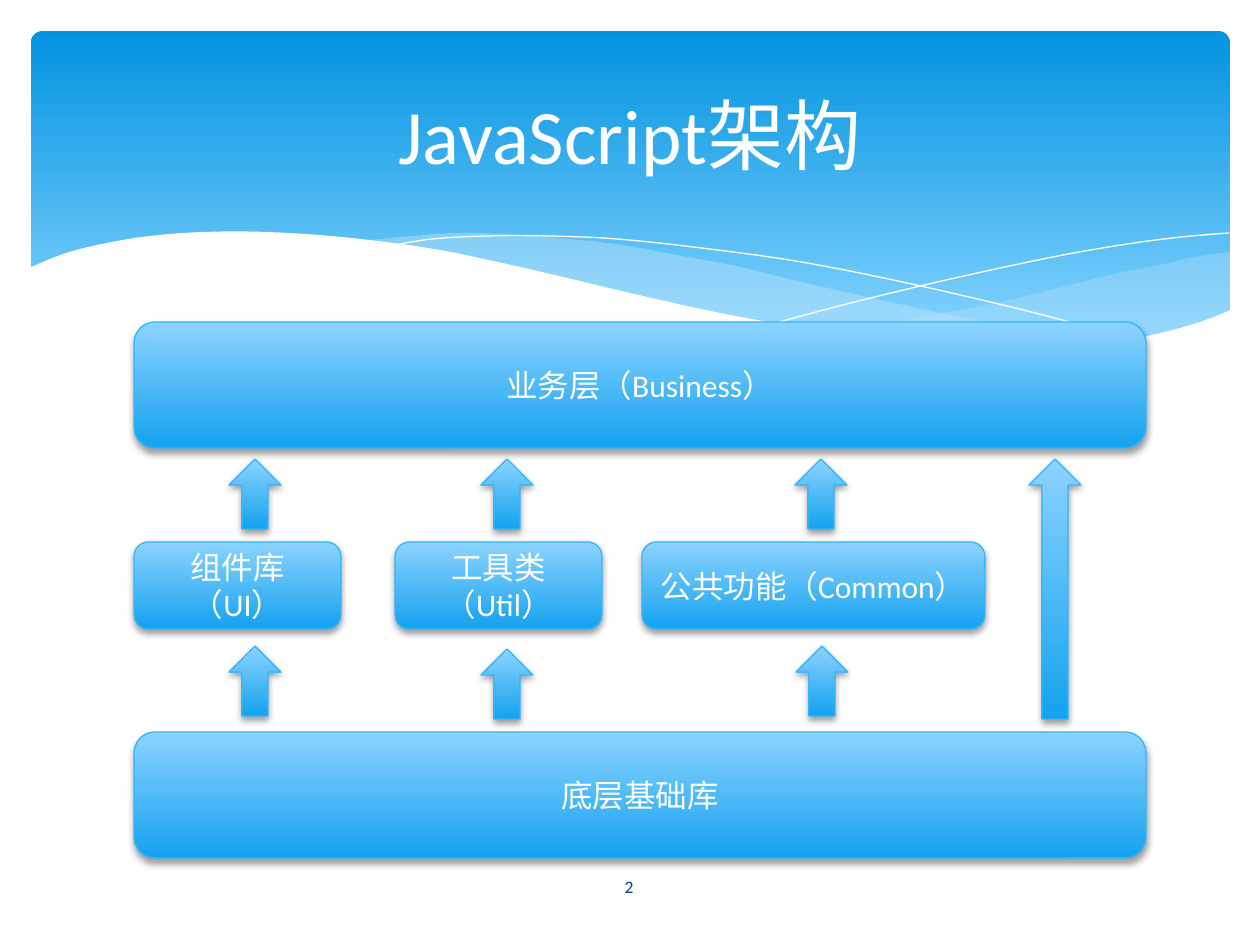
"""Build the JavaScript architecture slide: layered blocks joined by arrows under a wave banner."""
from lxml import etree
from pptx import Presentation
from pptx.dml.color import RGBColor
from pptx.enum.shapes import MSO_SHAPE
from pptx.enum.text import MSO_ANCHOR, PP_ALIGN
from pptx.oxml import parse_xml
from pptx.oxml.ns import nsdecls, qn
from pptx.util import Pt

ROUNDED, UP_ARROW = MSO_SHAPE.ROUNDED_RECTANGLE, MSO_SHAPE.UP_ARROW
CENTER, MIDDLE = PP_ALIGN.CENTER, MSO_ANCHOR.MIDDLE
EMU_PER_PX = 914400 / 126
COLORS = {
    "white": "FFFFFF", "wave": "C6E7FC", "banner_top": "0293E0", "banner_end": "83D3FE",
    "block_top": "8CD3FF", "block_end": "14A2EF", "outline": "31B6FD", "number": "073E87",
}
RGB = {name: RGBColor.from_string(value) for name, value in COLORS.items()}
SHADOW = (f'<a:effectLst {nsdecls("a")}><a:outerShdw blurRad="50800" dist="25400" dir="5400000" '
          'rotWithShape="0"><a:srgbClr val="000000"><a:alpha val="38000"/></a:srgbClr>'
          '</a:outerShdw></a:effectLst>')


def px(*lengths):
    """Turn pixel lengths into EMU."""
    return [round(length * EMU_PER_PX) for length in lengths]


def smooth(knots, steps=5):
    """Sample a Catmull-Rom curve through the knots."""
    padded = [knots[0], *knots, knots[-1]]
    curve = []
    for a, b, c, d in zip(padded, padded[1:], padded[2:], padded[3:]):
        for t in (step / steps for step in range(steps)):
            curve.append(tuple(
                b[i] + 0.5 * t * (c[i] - a[i] + t * (2 * a[i] - 5 * b[i] + 4 * c[i] - d[i]
                                  + t * (3 * (b[i] - c[i]) + d[i] - a[i])))
                for i in (0, 1)))
    return curve + [knots[-1]]


prs = Presentation()
prs.slide_width, prs.slide_height = px(1260, 945)
slide = prs.slides.add_slide(prs.slide_layouts[5])
shapes = slide.shapes

banner = shapes.add_shape(ROUNDED, *px(31, 31, 1199, 340))
banner.adjustments[0] = 0.034
banner.shadow.inherit = False
banner.line.fill.background()
banner.fill.gradient()
banner.fill.gradient_angle = 270
for stop, color, position in zip(banner.fill.gradient_stops, ("banner_top", "banner_end"), (0, 0.9)):
    stop.color.rgb, stop.position = RGB[color], position

right_wave = smooth([(1230, 252), (1194, 257), (1160, 265), (1123, 272), (1085, 281), (1014, 299),
                     (949, 312), (833, 334)]) + smooth([
                     (833, 334), (906, 343), (969, 349), (1026, 350), (1076, 348), (1120, 343),
                     (1160, 334), (1196, 324), (1230, 311)])
middle_wave = smooth([(1125, 344), (1055, 334), (976, 320), (890, 302), (793, 280), (736, 266),
                      (682, 256), (616, 244), (557, 238), (503, 234), (455, 233), (413, 236),
                      (360, 241)]) + smooth([
                      (360, 241), (431, 251), (509, 266), (566, 280), (668, 302), (757, 321),
                      (838, 335), (910, 345), (974, 349), (1031, 350), (1080, 349), (1125, 344)])
falling_line = smooth([(389, 246), (433, 239), (488, 236), (546, 236), (616, 239), (701, 248),
                       (801, 262), (916, 285), (1047, 316), (1143, 343)])
rising_line = smooth([(772, 324), (847, 304), (942, 281), (1053, 257), (1128, 244), (1182, 237),
                      (1229, 233)])
white_wave = smooth([(1231, 310), (1197, 323), (1147, 336), (1087, 345), (1019, 349), (937, 345),
                     (842, 334), (730, 315), (634, 294), (563, 277), (493, 261), (428, 248),
                     (341, 237), (266, 232), (203, 232), (150, 236), (107, 243), (66, 253),
                     (29, 268)]) + [(29, 415), (1231, 415)]

for outline, color, opacity in [
    (right_wave, "wave", 29), (middle_wave, "wave", 40), (falling_line, None, 100),
    (rising_line, None, 100), (white_wave, "white", 100),
]:
    points = [px(*point) for point in outline]
    builder = shapes.build_freeform(*points[0])
    builder.add_line_segments(points[1:], close=color is not None)
    wave = builder.convert_to_shape()
    wave.shadow.inherit = False
    if color is None:
        wave.fill.background()
        wave.line.color.rgb = RGB["white"]
        wave.line.width = Pt(0)
        continue
    wave.line.fill.background()
    wave.fill.solid()
    wave.fill.fore_color.rgb = RGB[color]
    if opacity < 100:
        tint = wave.fill._xPr.find(qn("a:solidFill"))[0]
        etree.SubElement(tint, qn("a:alpha")).set("val", str(opacity * 1000))

title = shapes.title
shapes._spTree.append(title._element)
title.left, title.top, title.width, title.height = px(63, 47, 1134, 173)
title.text_frame.text = "JavaScript架构"

LAYER_LEFT, LAYER_WIDTH, LAYER_HEIGHT = 134, 1012, 126
LIBRARY_TOP, LIBRARY_HEIGHT = 542, 87
ARROW_WIDTH, ARROW_HEIGHT, UPPER_TOP = 52, 70, 459
blocks = [
    (ROUNDED, LAYER_LEFT, 732, LAYER_WIDTH, LAYER_HEIGHT, "底层基础库"),
    (ROUNDED, LAYER_LEFT, 322, LAYER_WIDTH, LAYER_HEIGHT, "业务层（Business）"),
]
for left, width, label in [(134, 207, "组件库（UI）"), (395, 207, "工具类（Util）"),
                           (642, 343, "公共功能（Common）")]:
    blocks.append((ROUNDED, left, LIBRARY_TOP, width, LIBRARY_HEIGHT, label))
for upper_left, lower_left, lower_top in [(229, 229, 646), (481, 481, 649), (795, 796, 646)]:
    blocks.append((UP_ARROW, upper_left, UPPER_TOP, ARROW_WIDTH, ARROW_HEIGHT, ""))
    blocks.append((UP_ARROW, lower_left, lower_top, ARROW_WIDTH, ARROW_HEIGHT, ""))
blocks.append((UP_ARROW, 1029, UPPER_TOP, ARROW_WIDTH, 260, ""))

labelled = [(title, 44, "white")]
for preset, left, top, width, height, label in blocks:
    block = shapes.add_shape(preset, *px(left, top, width, height))
    block.fill.gradient()
    block.fill.gradient_angle = 270
    for stop, color, position in zip(block.fill.gradient_stops, ("block_top", "block_end"), (0, 1)):
        stop.color.rgb, stop.position = RGB[color], position
    block.line.color.rgb = RGB["outline"]
    block.line.width = Pt(0.75)
    block._element.spPr.append(parse_xml(SHADOW))
    if label:
        block.text_frame.text = label
        labelled.append((block, 18, "white"))

page_number = shapes.add_textbox(*px(549, 862, 160, 50))
page_number.text_frame.text = "2"
labelled.append((page_number, 10, "number"))

for holder, size, color in labelled:
    frame = holder.text_frame
    frame.word_wrap = True
    frame.vertical_anchor = MIDDLE
    paragraph = frame.paragraphs[0]
    paragraph.alignment = CENTER
    font = paragraph.runs[0].font
    font.name, font.size = "Calibri", Pt(size)
    font.color.rgb = RGB[color]

prs.save("out.pptx")
